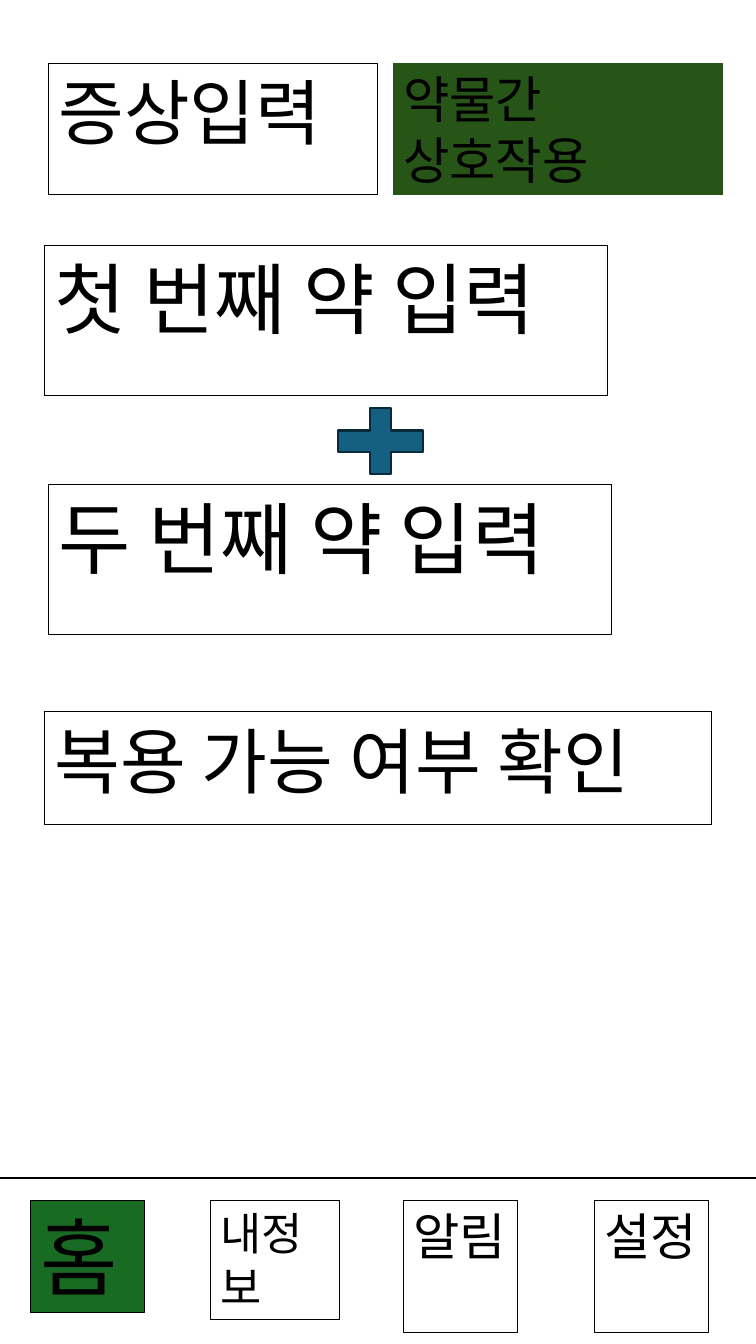
from pptx import Presentation
from pptx.dml.color import RGBColor
from pptx.enum import shapes, text
from pptx.oxml.ns import qn
from pptx.util import Pt
from lxml import etree

COLORS = {
    "ink": "000000",
    "home": "196B24",
    "active_tab": "275417",
    "plus": "156082",
    "plus_edge": "092A39",
}
FONT = "Karla"


def color(name):
    return RGBColor.from_string(COLORS[name])


def add_box(page, label, size, left, top, width, height, fill=None, edge="ink"):
    box = page.shapes.add_textbox(Pt(left), Pt(top), Pt(width), Pt(height))
    if fill:
        box.fill.solid()
        box.fill.fore_color.rgb = color(fill)
    box.line.color.rgb = color(edge)
    box.line.width = Pt(0.75)
    frame = box.text_frame
    frame.word_wrap = True
    frame.auto_size = text.MSO_AUTO_SIZE.NONE
    para = frame.paragraphs[0]
    para.text = label
    para.font.name = FONT
    para.font.size = Pt(size)
    para.font.color.rgb = color("ink")


deck = Presentation()
deck.slide_width = Pt(540)
deck.slide_height = Pt(960)
page = deck.slides.add_slide(deck.slide_layouts[6])

divider = page.shapes.add_connector(
    shapes.MSO_CONNECTOR.STRAIGHT, Pt(0), Pt(841.7), Pt(540), Pt(841.7))
divider.line.color.rgb = color("ink")
divider.line.width = Pt(1.5)
etree.SubElement(divider._element.spPr, qn("a:effectLst"))

NAV_TOP = 857.5
for label, size, left, width, height, fill in [
    ("홈", 60, 21.6, 81.4, 79.9, "home"),
    ("내정보", 32, 150.5, 92.2, 85, None),
    ("알림", 36, 288, 81.4, 94.3, None),
    ("설정", 36, 424.8, 81.4, 94.3, None),
]:
    add_box(page, label, size, left, NAV_TOP, width, height, fill)

TAB_TOP, TAB_WIDTH, TAB_HEIGHT = 45.4, 235.4, 93.6
for label, size, left, fill, edge in [
    ("증상입력", 51, 34.6, None, "ink"),
    ("약물간 상호작용", 36, 280.8, "active_tab", "active_tab"),
]:
    add_box(page, label, size, left, TAB_TOP, TAB_WIDTH, TAB_HEIGHT, fill, edge)

DRUG_WIDTH, DRUG_HEIGHT = 402.5, 106.6
for label, size, left, top in [
    ("첫 번째 약 입력", 55.5, 31.7, 175.7),
    ("두 번째 약 입력", 56.1, 34.6, 346.3),
]:
    add_box(page, label, size, left, top, DRUG_WIDTH, DRUG_HEIGHT)

plus = page.shapes.add_shape(
    shapes.MSO_SHAPE.MATH_PLUS, Pt(230.4), Pt(283), Pt(82.8), Pt(64.1))
plus.shadow.inherit = False
plus.fill.solid()
plus.fill.fore_color.rgb = color("plus")
plus.line.color.rgb = color("plus_edge")
plus.line.width = Pt(1.5)

add_box(page, "복용 가능 여부 확인", 51.1, 31.7, 508.3, 476.6, 80.6)

deck.save("out.pptx")
